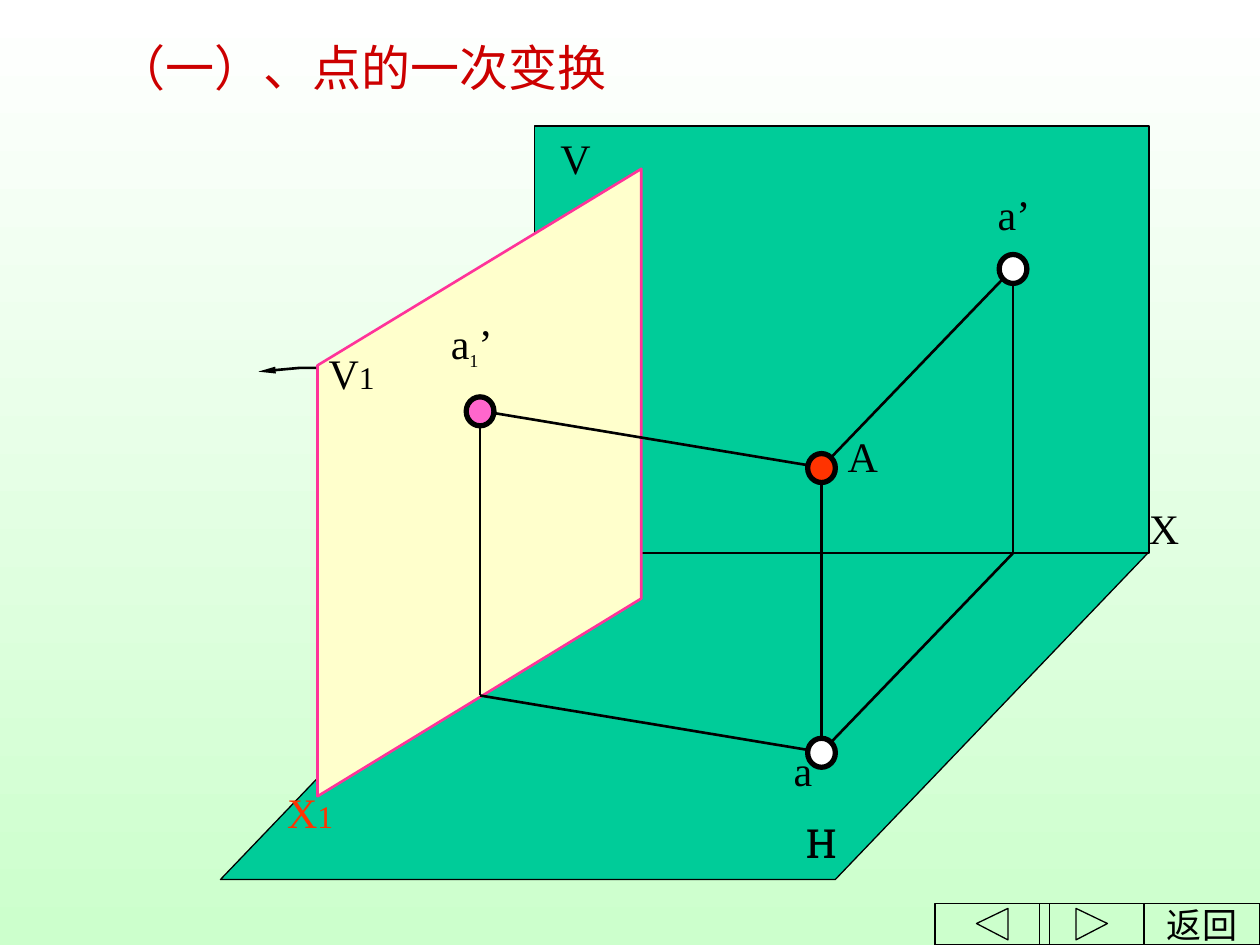
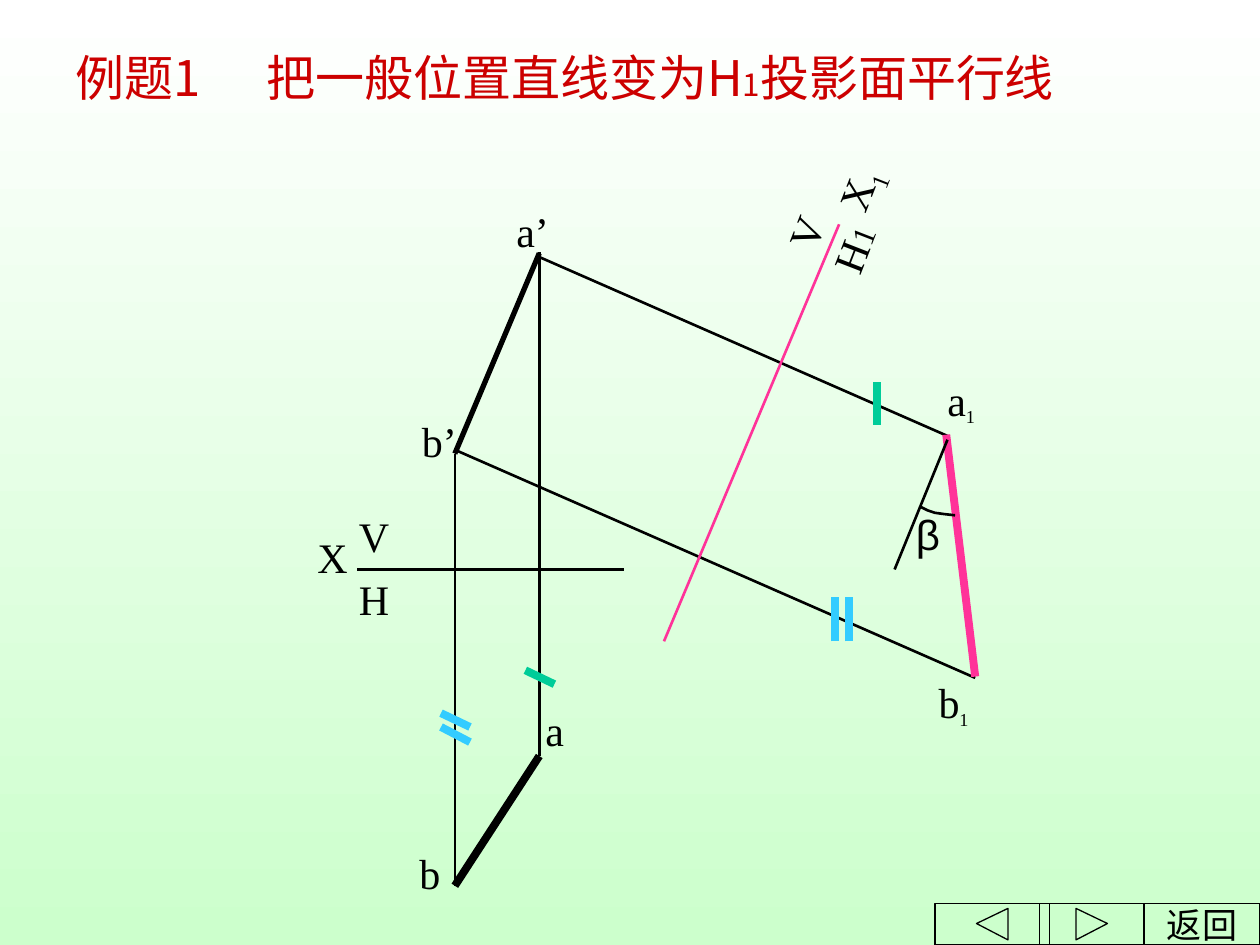
import pptx
import pptx.util
import pptx.dml.color
import pptx.enum.shapes
import pptx.enum.text
import lxml.etree
import pptx.oxml.ns

Inches = pptx.util.Inches
Pt = pptx.util.Pt
RGB = pptx.dml.color.RGBColor.from_string
qn = pptx.oxml.ns.qn

HUE = {
    "ink": "000000", "title": "CC0000", "plane": "00CC99", "cream": "FFFFCC",
    "pink": "FF3399", "rose": "FF66CC", "red": "FF3300", "sky": "33CCFF",
    "white": "FFFFFF", "mint": "CCFFCC",
}
SERIF = "Times New Roman"
SANS = "Noto Sans CJK JP"
SUB = -25000


def put(slide, left, top, wide, high, runs, hue="ink", font=SERIF, turn=0):
    box = slide.shapes.add_textbox(Inches(left), Inches(top), Inches(wide), Inches(high))
    box.rotation = turn
    box.text_frame.word_wrap = True
    para = box.text_frame.paragraphs[0]
    for text, size, base in runs:
        run = para.add_run()
        run.text = text
        run.font.size = Pt(size)
        run.font.name = font
        run.font.color.rgb = RGB(HUE[hue])
        if base:
            run.font._element.set("baseline", str(base))
    return para


def draw(slide, paths, hue="ink", width=0.75, fill=None, close=True):
    form = None
    for path in paths:
        spots = [(Inches(x), Inches(y)) for x, y in path]
        if form is None:
            form = slide.shapes.build_freeform(*spots[0])
        else:
            form.move_to(*spots[0])
        form.add_line_segments(spots[1:], close=close)
    shape = form.convert_to_shape()
    shape.shadow.inherit = False
    if fill:
        shape.fill.solid()
        shape.fill.fore_color.rgb = RGB(HUE[fill])
    else:
        shape.fill.background()
    shape.line.color.rgb = RGB(HUE[hue])
    shape.line.width = Pt(width)
    return shape


deck = pptx.Presentation()
deck.slide_width = Inches(10)
deck.slide_height = Inches(7.5)

titles = [
    (0.83, 0.25, 7.58, 0.58, [("（一）、点的一次变换", 28, 0)], SERIF),
    (0.5, 0.33, 8.75, 0.5,
     [("例题1\t把一般位置直线变为H", 28, 0), ("1", 18, 0), ("投影面平行线", 28, 0)], SANS),
]
keys = [
    (9.08, 10, None),
    (7.42, 8.33, [(7.75, 7.33), (8, 7.21), (8, 7.46)]),
    (8.25, 9.08, [(8.54, 7.21), (8.79, 7.33), (8.54, 7.46)]),
]
for left, top, wide, high, runs, font in titles:
    slide = deck.slides.add_slide(deck.slide_layouts[6])
    back = slide.background.fill
    back.gradient()
    back.gradient_angle = 270
    for stop, hue in zip(back.gradient_stops, ("white", "mint")):
        stop.color.rgb = RGB(HUE[hue])
    para = put(slide, left, top, wide, high, runs, "title", font)
    tabs = lxml.etree.SubElement(para._p.get_or_add_pPr(), qn("a:tabLst"))
    lxml.etree.SubElement(tabs, qn("a:tab"), pos=str(Inches(1.52)), algn="l")
    for near, far, icon in keys:
        frame = [(near, 7.17), (far, 7.17), (far, 7.5), (near, 7.5)]
        key = draw(slide, [frame, icon] if icon else [frame])
        if not icon:
            key.text_frame.word_wrap = False
            key.text_frame.vertical_anchor = pptx.enum.text.MSO_ANCHOR.MIDDLE
            para = key.text_frame.paragraphs[0]
            para.alignment = pptx.enum.text.PP_ALIGN.CENTER
            run = para.add_run()
            run.text = "返回"
            run.font.size = Pt(20)
            run.font.name = SERIF
            run.font.color.rgb = RGB(HUE["ink"])

space, plan = deck.slides

draw(space, [[(4.23, 4.39), (1.75, 6.98), (6.63, 6.98), (9.11, 4.39)]], fill="plane")
wall = space.shapes.add_shape(
    pptx.enum.shapes.MSO_SHAPE.RECTANGLE, Inches(4.24), Inches(1), Inches(4.88), Inches(3.39))
wall.shadow.inherit = False
wall.fill.solid()
wall.fill.fore_color.rgb = RGB(HUE["plane"])
wall.line.color.rgb = RGB(HUE["ink"])
wall.line.width = Pt(0.75)
draw(space, [[(2.52, 6.32), (5.09, 4.75), (5.09, 1.34), (2.52, 2.9)]], "pink", 1.5, "cream")
arrow = draw(space, [[(2.51, 2.92), (2.38, 2.92), (2.05, 2.95)]], width=1.5, close=False)
lxml.etree.SubElement(
    arrow.line._get_or_add_ln(), qn("a:tailEnd"), type="triangle", w="sm", len="lg")

new, foot = (3.81, 3.26), (3.81, 5.52)
front, axis = (8.04, 2.13), (8.04, 4.39)
point, base = (6.52, 3.71), (6.52, 5.97)
lines = [(space, start, end, "ink", 1.5) for start, end in [
    (new, foot), (base, foot), (point, new), (front, axis),
    (axis, base), (front, point), (point, base)]]
lines += [(plan, start, end, hue, width) for start, end, hue, width in [
    ((7.74, 5.38), (3.61, 3.57), "ink", 1.5),
    ((7.52, 3.46), (4.28, 2.04), "ink", 1.5),
    ((7.74, 5.37), (7.51, 3.45), "pink", 4.5),
    ((7.52, 3.49), (7.1, 4.52), "ink", 1.5),
    ((4.95, 4.52), (2.83, 4.52), "ink", 1.5),
    ((3.61, 7.03), (3.61, 3.6), "ink", 1.5),
    ((4.28, 6), (4.28, 2), "ink", 1.5),
    ((3.61, 3.6), (4.28, 2.01), "ink", 3),
    ((3.61, 7.03), (4.28, 6), "ink", 4.5),
    ((6.74, 5.09), (6.74, 4.74), "sky", 4.5),
    ((6.63, 5.09), (6.63, 4.74), "sky", 4.5),
    ((6.96, 3.37), (6.96, 3.03), "plane", 4.5),
    ((4.4, 5.43), (4.17, 5.32), "plane", 4.5),
    ((3.73, 5.89), (3.5, 5.77), "sky", 4.5),
    ((3.73, 5.77), (3.5, 5.66), "sky", 4.5),
    ((5.27, 5.09), (6.66, 1.78), "pink", 1.5)]]
for slide, start, end, hue, width in lines:
    line = slide.shapes.add_connector(
        pptx.enum.shapes.MSO_CONNECTOR.STRAIGHT, *[Inches(n) for n in start + end])
    line.line.color.rgb = RGB(HUE[hue])
    line.line.width = Pt(width)
    lxml.etree.SubElement(line._element.spPr, qn("a:effectLst"))

draw(plan, [[(7.58, 4.09), (7.49, 4.08), (7.42, 4.07), (7.36, 4.05), (7.3, 4.02)]],
     width=1.5, close=False)

for (x, y), hue in [(new, "rose"), (point, "red"), (front, "white"), (base, "white")]:
    dot = space.shapes.add_shape(
        pptx.enum.shapes.MSO_SHAPE.OVAL,
        Inches(x - 0.11), Inches(y - 0.11), Inches(0.22), Inches(0.23))
    dot.shadow.inherit = False
    dot.fill.solid()
    dot.fill.fore_color.rgb = RGB(HUE[hue])
    dot.line.color.rgb = RGB(HUE["ink"])
    dot.line.width = Pt(3)

for slide, left, top, wide, text in [
    (space, 4.35, 1, 0.54, "V"),
    (space, 6.3, 6.42, 0.54, "H"),
    (space, 6.3, 6.43, 0.54, "H"),
    (space, 9.02, 3.94, 0.65, "X"),
    (space, 7.82, 1.45, 0.87, "a’"),
    (space, 6.63, 3.37, 0.54, "A"),
    (space, 6.2, 5.86, 0.87, "a"),
    (plan, 3.25, 3.25, 0.89, "b’"),
    (plan, 4, 1.58, 0.9, "a’"),
    (plan, 3.23, 6.68, 0.89, "b"),
    (plan, 4.23, 5.54, 0.89, "a"),
    (plan, 2.42, 4.17, 0.67, "X"),
    (plan, 2.75, 4.5, 0.56, "H"),
    (plan, 2.75, 4, 0.56, "V"),
]:
    put(slide, left, top, wide, 0.5, [(text, 24, 0)])

put(space, 2.18, 6.19, 1.08, 0.5, [("X", 24, 0), ("1", 18, 0)], "red")
put(space, 2.51, 2.71, 0.87, 0.5, [("V", 24, 0), ("1", 18, 0)])
put(space, 3.48, 2.47, 0.76, 0.53, [("a", 24, 0), ("1", 18, SUB), ("’", 24, 0)])
put(plan, 7.42, 2.92, 0.78, 0.53, [("a", 24, 0), ("1", 18, SUB)])
put(plan, 7.35, 5.32, 0.78, 0.53, [("b", 24, 0), ("1", 18, SUB)])
put(plan, 7.17, 3.99, 0.38, 0.5, [("β", 24, 0)], font="Arial")

tilt = 291.2
put(plan, 6.52, 1.16, 0.68, 0.56, [("X", 24, 0), ("1", 24, SUB)], turn=tilt)
put(plan, 6.39, 1.58, 0.87, 0.5, [("H", 24, 0), ("1", 18, 0)], turn=tilt)
put(plan, 6.13, 1.53, 0.57, 0.5, [("V", 24, 0)], turn=tilt)

deck.save("out.pptx")
